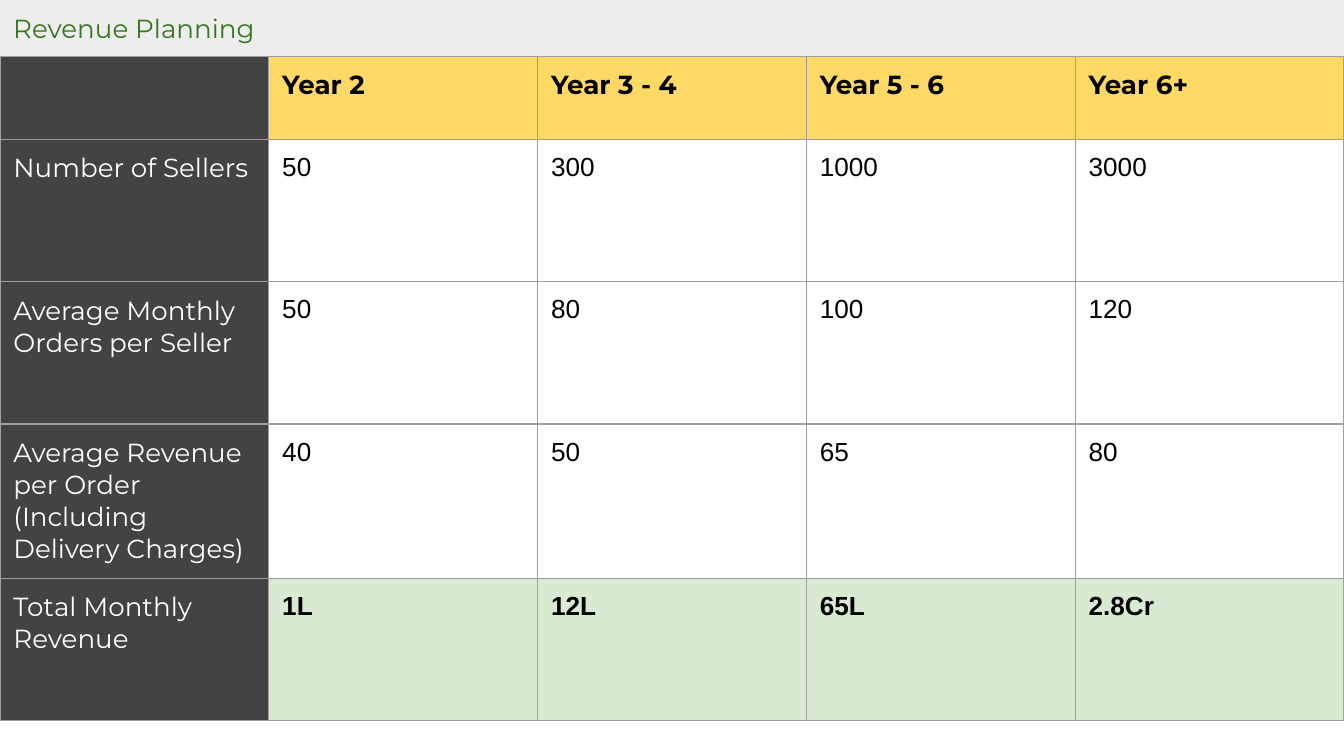
from lxml import etree
from pptx import Presentation
from pptx.dml.color import RGBColor
from pptx.enum.shapes import MSO_SHAPE
from pptx.enum.text import MSO_ANCHOR, PP_ALIGN
from pptx.oxml.ns import qn
from pptx.util import Inches, Pt

RECT = MSO_SHAPE.RECTANGLE
MIDDLE = MSO_ANCHOR.MIDDLE
LEFT = PP_ALIGN.LEFT

WIDTH = 10
HEIGHT = WIDTH * 9 / 16
TITLE_H = HEIGHT * 7.4 / 100
HEADER_H, ROW_H = 0.62, 1.06
INSET = Inches(0.1)
HEADING_FONT, BODY_FONT = "Montserrat", "Arial"
DARK, YELLOW, GREEN = "434343", "FFD966", "D9EAD3"
WHITE, BLACK, GRID = "FFFFFF", "000000", "9E9E9E"

ROWS = [
    ["", "Year 2", "Year 3 - 4", "Year 5 - 6", "Year 6+"],
    ["Number of Sellers", "50", "300", "1000", "3000"],
    ["Average Monthly Orders per Seller", "50", "80", "100", "120"],
    ["Average Revenue per Order (Including Delivery Charges)", "40", "50", "65", "80"],
    ["Total Monthly Revenue", "1L", "12L", "65L", "2.8Cr"],
]


def rgb(color):
    return RGBColor.from_string(color)


def set_text(tf, text, font, color, bold=False):
    tf.text = text
    p = tf.paragraphs[0]
    p.alignment = LEFT
    for r in p.runs:
        r.font.name = font
        r.font.size = Pt(14)
        r.font.bold = bold
        r.font.color.rgb = rgb(color)


def set_margins(box):
    box.margin_left = box.margin_right = INSET
    box.margin_top = box.margin_bottom = INSET


def set_borders(cell):
    tcPr = cell._tc.get_or_add_tcPr()
    for side in ("lnL", "lnR", "lnT", "lnB"):
        ln = etree.SubElement(tcPr, qn(f"a:{side}"), w=str(Pt(0.75)))
        fill = etree.SubElement(ln, qn("a:solidFill"))
        etree.SubElement(fill, qn("a:srgbClr"), val=GRID)


def cell_style(row, col):
    if col == 0:
        return HEADING_FONT, WHITE, False, DARK
    if row == 0:
        return HEADING_FONT, BLACK, True, YELLOW
    if row == len(ROWS) - 1:
        return BODY_FONT, BLACK, True, GREEN
    return BODY_FONT, BLACK, False, None


def format_cell(cell, text, font, color, bold, fill):
    set_margins(cell)
    set_borders(cell)
    if fill:
        cell.fill.solid()
        cell.fill.fore_color.rgb = rgb(fill)
    else:
        cell.fill.background()
    if text:
        set_text(cell.text_frame, text, font, color, bold)


def add_revenue_table(s):
    n_rows, n_cols = len(ROWS), len(ROWS[0])
    heights = [HEADER_H] + [ROW_H] * (n_rows - 1)
    table = s.shapes.add_table(
        n_rows, n_cols, 0, Inches(TITLE_H), Inches(WIDTH), Inches(sum(heights))
    ).table
    table.first_row = table.horz_banding = False
    for column in table.columns:
        column.width = Inches(WIDTH / n_cols)
    for i, (height, texts) in enumerate(zip(heights, ROWS)):
        table.rows[i].height = Inches(height)
        for j, text in enumerate(texts):
            format_cell(table.cell(i, j), text, *cell_style(i, j))


def add_title_bar(s, text):
    sp = s.shapes.add_shape(RECT, 0, 0, Inches(WIDTH), Inches(TITLE_H))
    sp.shadow.inherit = False
    sp.fill.solid()
    sp.fill.fore_color.rgb = rgb("EEEEEE")
    sp.line.fill.background()
    tf = sp.text_frame
    tf.word_wrap = True
    tf.vertical_anchor = MIDDLE
    set_margins(tf)
    set_text(tf, text, HEADING_FONT, "38761D")


def main():
    prs = Presentation()
    prs.slide_width, prs.slide_height = Inches(WIDTH), Inches(HEIGHT)
    s = prs.slides.add_slide(prs.slide_layouts[6])
    add_revenue_table(s)
    add_title_bar(s, "Revenue Planning")
    prs.save("out.pptx")


if __name__ == "__main__":
    main()
